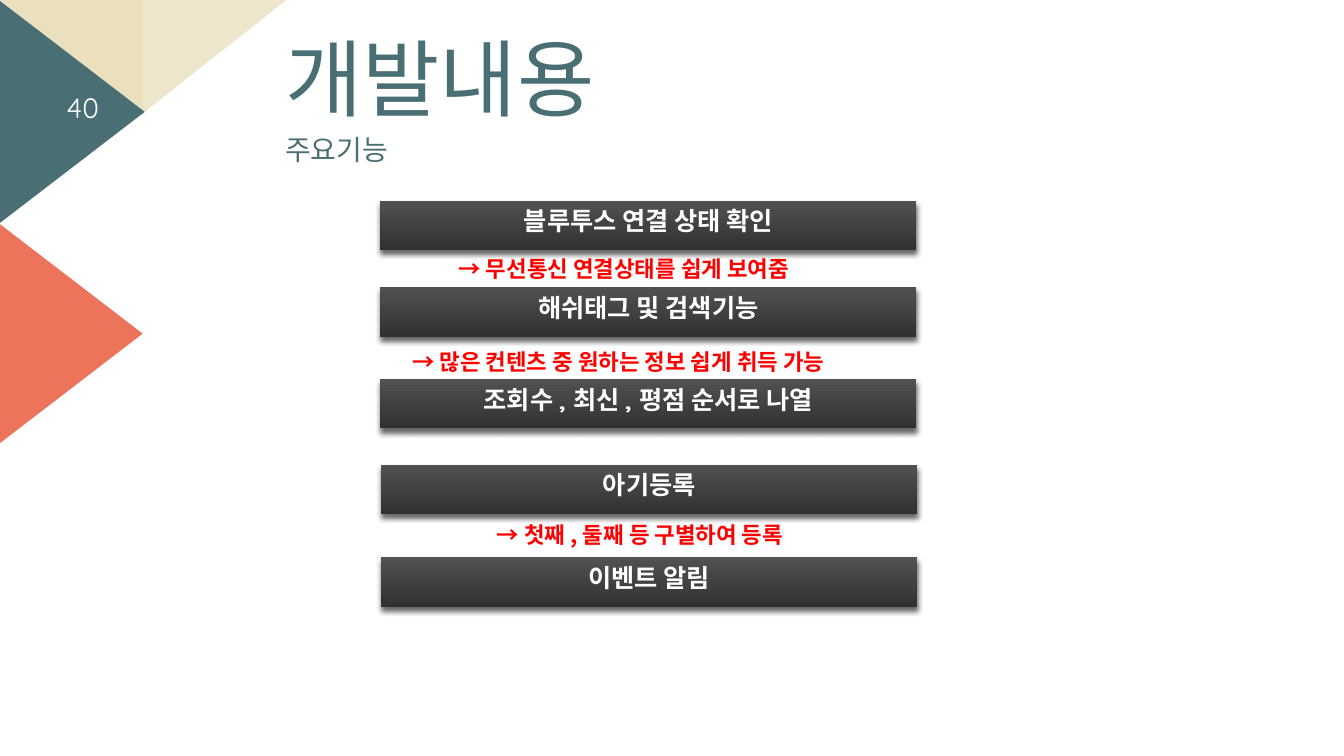
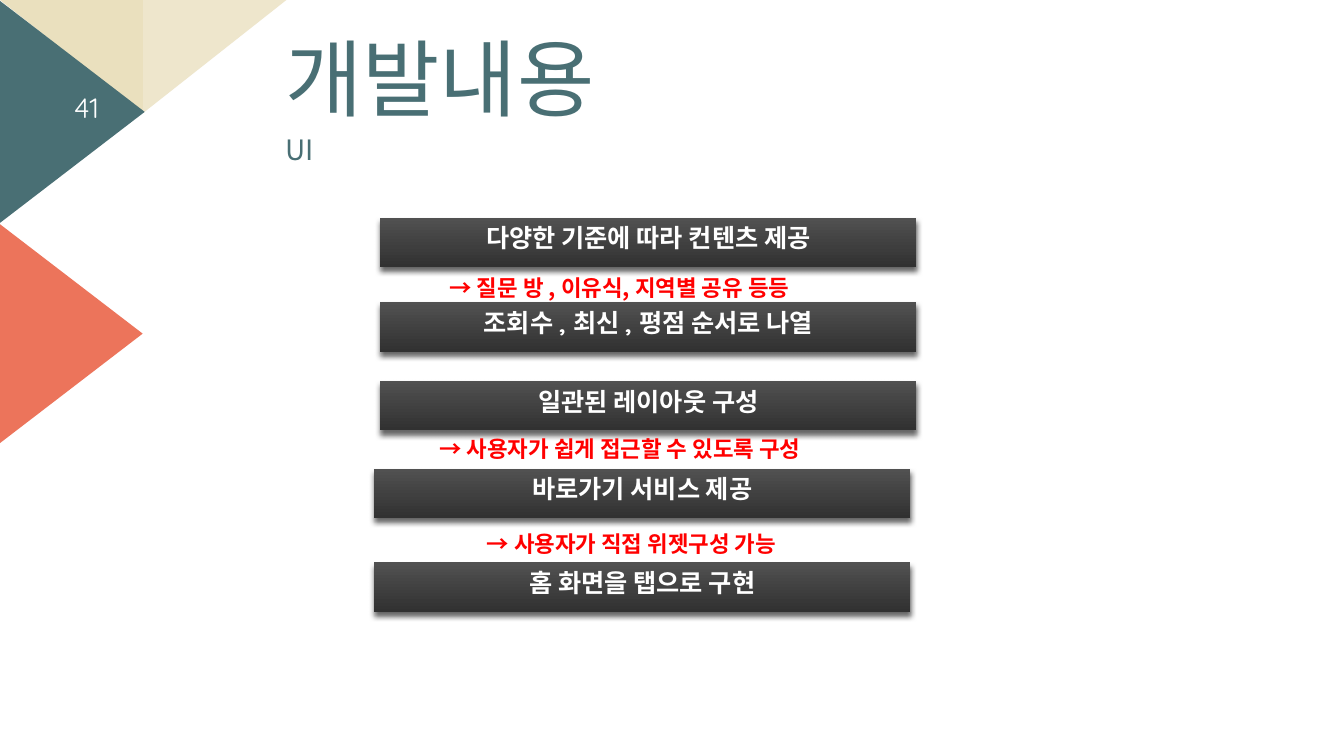
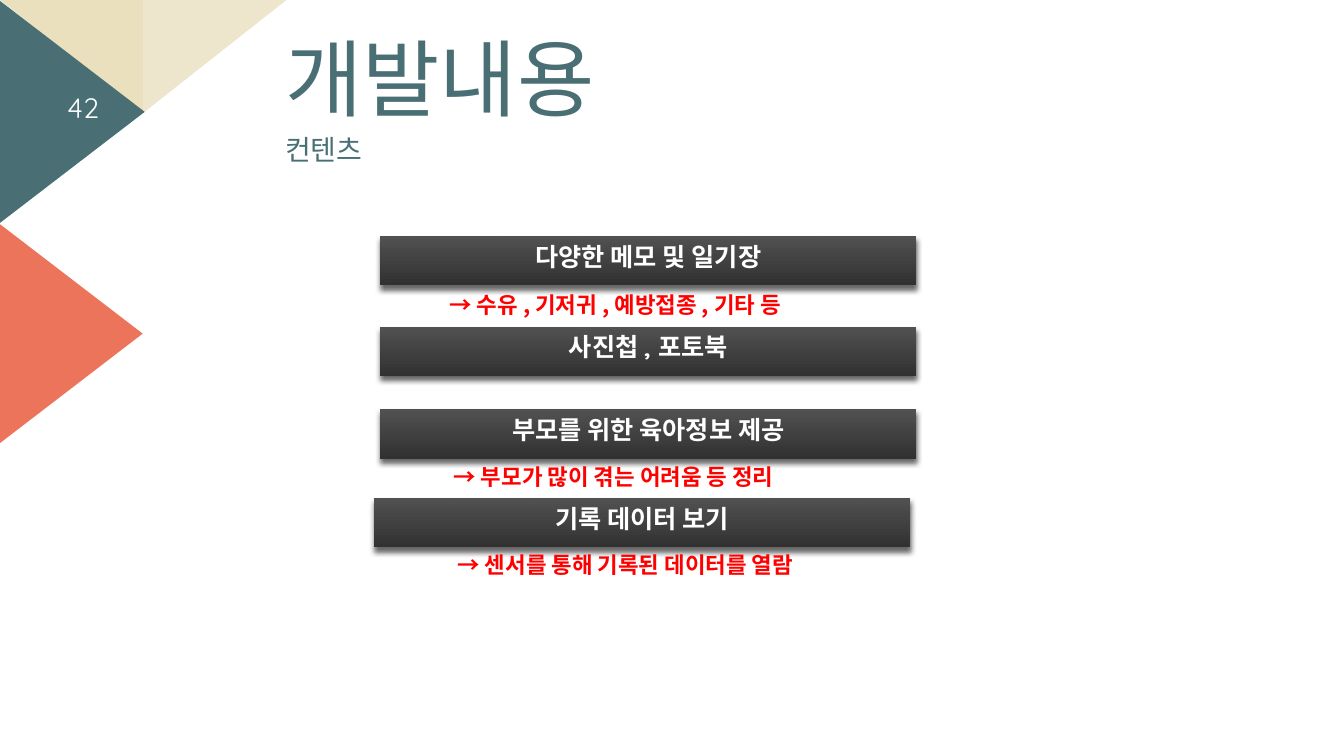
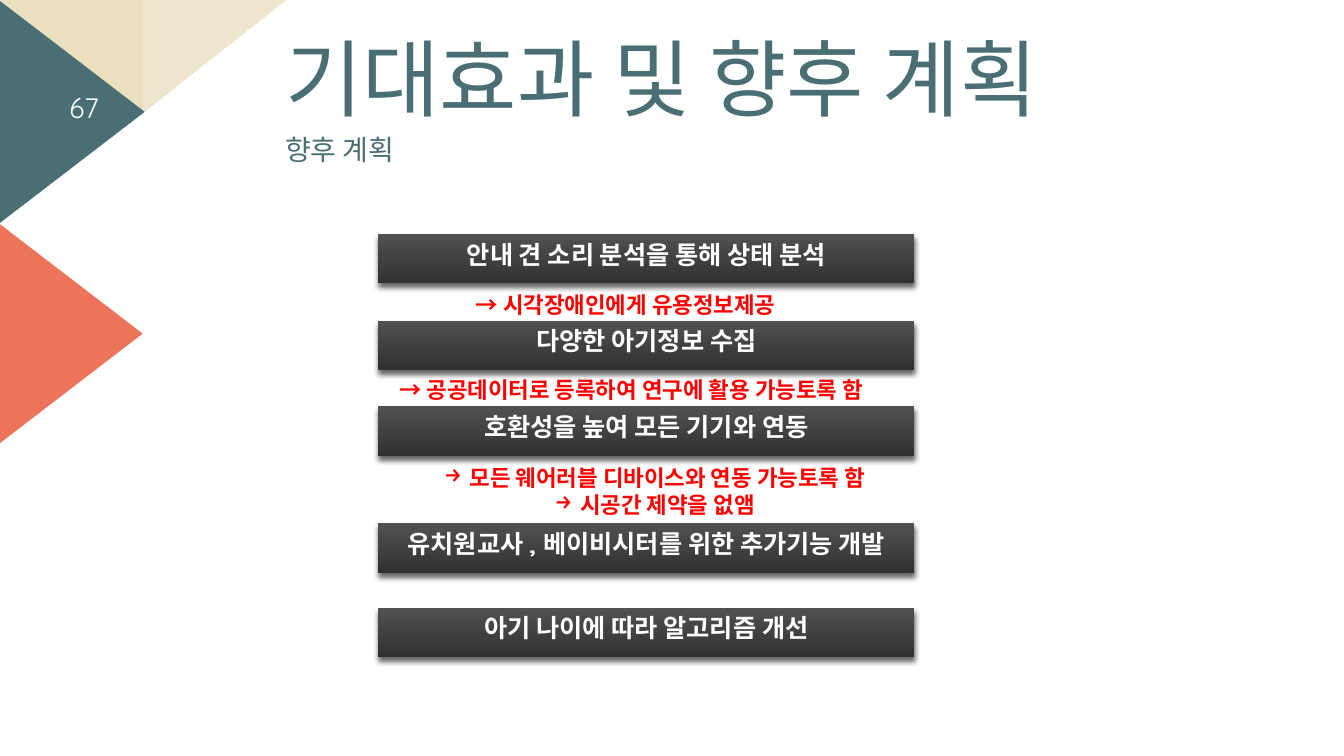
from lxml import etree
from pptx import Presentation
from pptx.dml.color import RGBColor
from pptx.enum.shapes import MSO_SHAPE
from pptx.enum.text import MSO_ANCHOR, PP_ALIGN
from pptx.oxml.ns import qn
from pptx.util import Emu, Inches, Pt

RECTANGLE = MSO_SHAPE.RECTANGLE
TRIANGLE = MSO_SHAPE.ISOSCELES_TRIANGLE
RIGHT_TRIANGLE = MSO_SHAPE.RIGHT_TRIANGLE
LEFT, CENTER, RIGHT = PP_ALIGN.LEFT, PP_ALIGN.CENTER, PP_ALIGN.RIGHT
TOP, MIDDLE = MSO_ANCHOR.TOP, MSO_ANCHOR.MIDDLE

COLORS = {
    "teal": "496F74",
    "coral": "EC745B",
    "sand": "EAE0BE",
    "light_sand": "EEE6CC",
    "bar_top": "515151",
    "bar_bottom": "313131",
    "note": "FF0000",
    "white": "FFFFFF",
    "number": "FEFFFF",
    "shadow": "000000",
}
KOREAN_FONT = "Noto Sans CJK KR"
LATIN_FONT = "Quicksand"

SLIDE_SIZE = (13.33, 7.5)
BAR_SIZE = (5.32, 0.49)
NOTE_LINE = 0.27
NOTE_PADDING = 0.1

# Shape, box, rotation, mirrored, colour
CORNER_TRIANGLES = [
    (RIGHT_TRIANGLE, (0, 0, 1.42, 1.12), 180, False, "sand"),
    (RIGHT_TRIANGLE, (1.42, 0, 1.42, 1.12), 180, True, "light_sand"),
    (TRIANGLE, (-0.39, 0.39, 2.21, 1.44), 90, False, "teal"),
    (TRIANGLE, (-0.41, 2.59, 2.21, 1.44), 90, False, "coral"),
]
TITLE_BOX = (2.73, 0.33, 8.84, 1.29)
SUBTITLE_BOX = (2.73, 1.3, 4.47, 0.62)
NUMBER_BOX = (0.44, 0.86, 0.64, 0.4)

# Each bar: left, top, label, note.
# Each note: offset from the bar's left and top, width, lines.
SLIDES = [
    ("40", "개발내용", "주요기능", [
        (3.77, 1.99, "블루투스 연결 상태 확인",
         (0.68, 0.49, 3.88, ["→ 무선통신 연결상태를 쉽게 보여줌"])),
        (3.77, 2.85, "해쉬태그 및 검색기능",
         (0.22, 0.55, 4.87, ["→ 많은 컨텐츠 중 원하는 정보 쉽게 취득 가능"])),
        (3.77, 3.76, "조회수 , 최신 , 평점 순서로 나열", None),
        (3.78, 4.61, "아기등록",
         (1.05, 0.51, 3.42, ["→ 첫째 , 둘째 등 구별하여 등록"])),
        (3.78, 5.53, "이벤트 알림", None),
    ]),
    ("41", "개발내용", "UI", [
        (3.77, 2.16, "다양한 기준에 따라 컨텐츠 제공",
         (0.59, 0.51, 4.01, ["→ 질문 방 , 이유식, 지역별 공유 등등"])),
        (3.77, 3, "조회수 , 최신 , 평점 순서로 나열", None),
        (3.77, 3.78, "일관된 레이아웃 구성",
         (0.49, 0.49, 4.26, ["→ 사용자가 쉽게 접근할 수 있도록 구성"])),
        (3.71, 4.65, "바로가기 서비스 제공",
         (1.02, 0.56, 3.43, ["→ 사용자가 직접 위젯구성 가능"])),
        (3.71, 5.58, "홈 화면을 탭으로 구현", None),
    ]),
    ("42", "개발내용", "컨텐츠", [
        (3.77, 2.34, "다양한 메모 및 일기장",
         (0.59, 0.5, 3.92, ["→ 수유 , 기저귀 , 예방접종 , 기타 등"])),
        (3.77, 3.24, "사진첩 , 포토북", None),
        (3.77, 4.06, "부모를 위한 육아정보 제공",
         (0.63, 0.49, 3.81, ["→ 부모가 많이 겪는 어려움 등 정리"])),
        (3.71, 4.94, "기록 데이터 보기",
         (0.73, 0.48, 3.96, ["→ 센서를 통해 기록된 데이터를 열람"])),
    ]),
    ("67", "기대효과 및 향후 계획", "향후 계획", [
        (3.75, 2.32, "안내 견 소리 분석을 통해 상태 분석",
         (0.87, 0.52, 3.5, ["→ 시각장애인에게 유용정보제공"])),
        (3.75, 3.18, "다양한 아기정보 수집",
         (0.11, 0.5, 5.38, ["→ 공공데이터로 등록하여 연구에 활용 가능토록 함"])),
        (3.75, 4.03, "호환성을 높여 모든 기기와 연동",
         (0.28, 0.53, 4.93, ["모든 웨어러블 디바이스와 연동 가능토록 함",
                             "시공간 제약을 없앰"])),
        (3.75, 5.19, "유치원교사 , 베이비시터를 위한 추가기능 개발", None),
        (3.75, 6.03, "아기 나이에 따라 알고리즘 개선", None),
    ]),
]


def rgb(name):
    return RGBColor.from_string(COLORS[name])


def inches(box):
    return [Inches(length) for length in box]


def add_run(paragraph, text, size, font, color, bold=False):
    run = paragraph.add_run()
    run.text = text
    run.font.size = Pt(size)
    run.font.name = font
    run.font.bold = bold
    run.font.color.rgb = rgb(color)
    east_asian = etree.SubElement(run._r.get_or_add_rPr(), qn("a:ea"))
    east_asian.set("typeface", KOREAN_FONT)


def add_text(slide, box, text, size, font, color, align=LEFT, anchor=TOP,
             line_spacing=None):
    frame = slide.shapes.add_textbox(*inches(box)).text_frame
    frame.word_wrap = True
    frame.vertical_anchor = anchor
    paragraph = frame.paragraphs[0]
    paragraph.alignment = align
    paragraph.line_spacing = line_spacing
    add_run(paragraph, text, size, font, color)


def add_corner(slide):
    for kind, box, rotation, mirrored, color in CORNER_TRIANGLES:
        triangle = slide.shapes.add_shape(kind, *inches(box))
        triangle.shadow.inherit = False
        triangle.rotation = rotation
        triangle.fill.solid()
        triangle.fill.fore_color.rgb = rgb(color)
        triangle.line.fill.background()
        if mirrored:
            triangle._element.spPr.find(qn("a:xfrm")).set("flipH", "1")


def add_drop_shadow(shape):
    shape.shadow.inherit = False
    effects = shape._element.spPr.find(qn("a:effectLst"))
    shadow = etree.SubElement(
        effects, qn("a:outerShdw"), blurRad=str(Pt(4)), dist=str(Pt(3)),
        dir="5400000", rotWithShape="0")
    color = etree.SubElement(shadow, qn("a:srgbClr"), val=COLORS["shadow"])
    etree.SubElement(color, qn("a:alpha"), val="60000")


def add_bar(slide, left, top, label):
    bar = slide.shapes.add_shape(RECTANGLE, *inches((left, top, *BAR_SIZE)))
    bar.fill.gradient()
    bar.fill.gradient_angle = 270
    for stop, color in zip(bar.fill.gradient_stops, ("bar_top", "bar_bottom")):
        stop.color.rgb = rgb(color)
    bar.line.fill.background()
    add_drop_shadow(bar)
    bar.text_frame.word_wrap = True
    bar.text_frame.vertical_anchor = TOP
    paragraph = bar.text_frame.paragraphs[0]
    paragraph.alignment = CENTER
    add_run(paragraph, label, 18, LATIN_FONT, "white", bold=True)


def add_arrow_bullet(paragraph):
    properties = paragraph._p.get_or_add_pPr()
    properties.set("marL", str(Inches(0.25)))
    properties.set("indent", str(Emu(-Inches(0.25))))
    etree.SubElement(properties, qn("a:buChar"), char="→")


def add_note(slide, left, top, width, lines):
    """Single lines carry their arrow in the text; longer notes are bulleted."""
    height = NOTE_PADDING + NOTE_LINE * len(lines)
    box = slide.shapes.add_textbox(*inches((left, top, width, height)))
    frame = box.text_frame
    frame.word_wrap = False
    for index, line in enumerate(lines):
        paragraph = frame.add_paragraph() if index else frame.paragraphs[0]
        if len(lines) > 1:
            add_arrow_bullet(paragraph)
            paragraph.alignment = CENTER
        add_run(paragraph, line, 16, KOREAN_FONT, "note", bold=True)


def add_feature_slide(presentation, number, title, subtitle, bars):
    slide = presentation.slides.add_slide(presentation.slide_layouts[6])
    add_corner(slide)
    add_text(slide, NUMBER_BOX, number, 20, LATIN_FONT, "number", RIGHT, MIDDLE)
    add_text(slide, TITLE_BOX, title, 60, KOREAN_FONT, "teal", line_spacing=0.9)
    add_text(slide, SUBTITLE_BOX, subtitle, 20, KOREAN_FONT, "teal",
             line_spacing=0.9)
    for left, top, label, note in bars:
        add_bar(slide, left, top, label)
        if note:
            across, down, width, lines = note
            add_note(slide, left + across, top + down, width, lines)


def main():
    presentation = Presentation()
    presentation.slide_width, presentation.slide_height = inches(SLIDE_SIZE)
    for content in SLIDES:
        add_feature_slide(presentation, *content)
    presentation.save("out.pptx")


if __name__ == "__main__":
    main()
